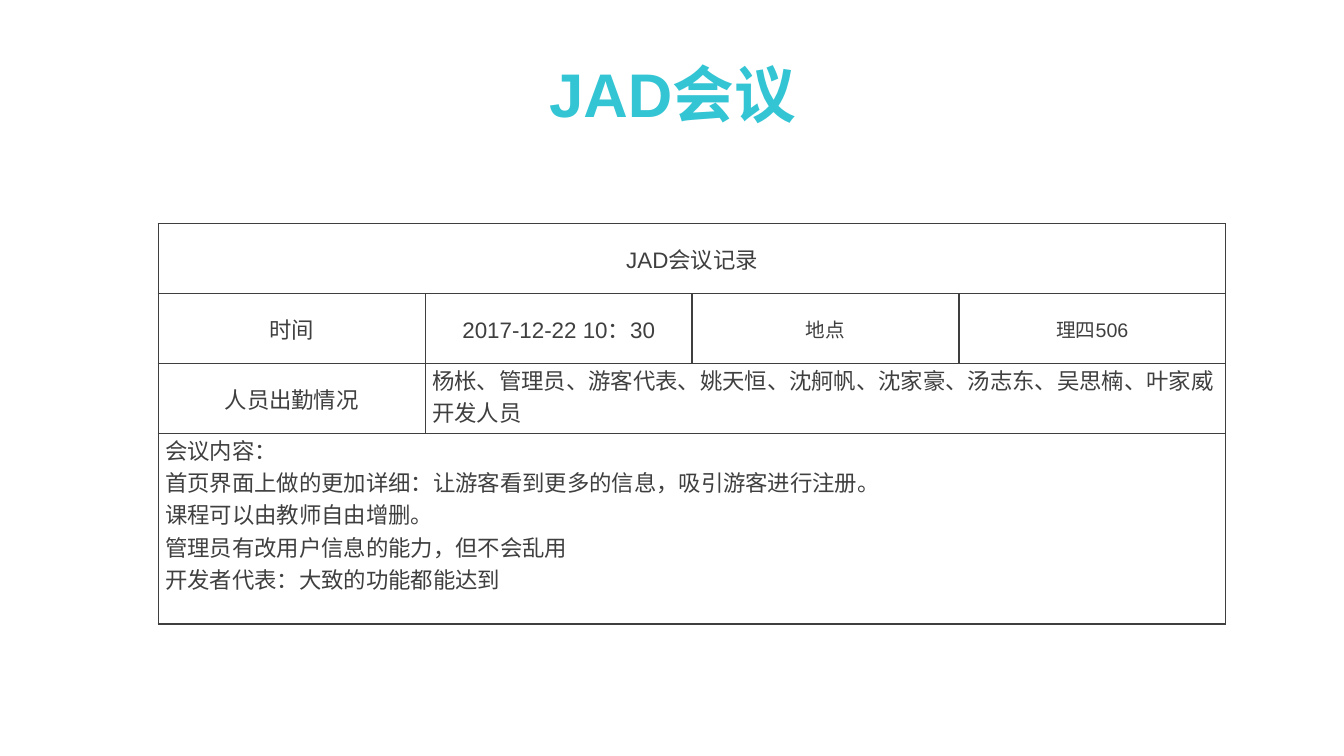
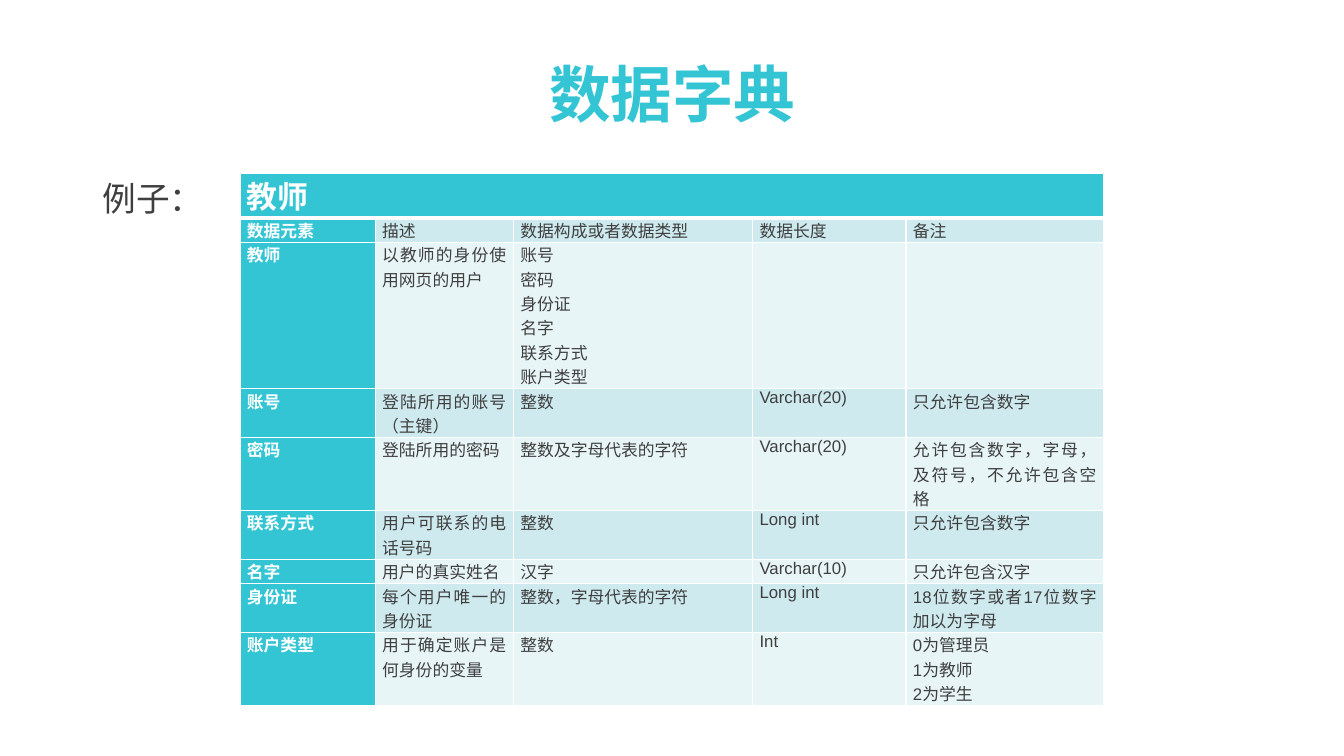
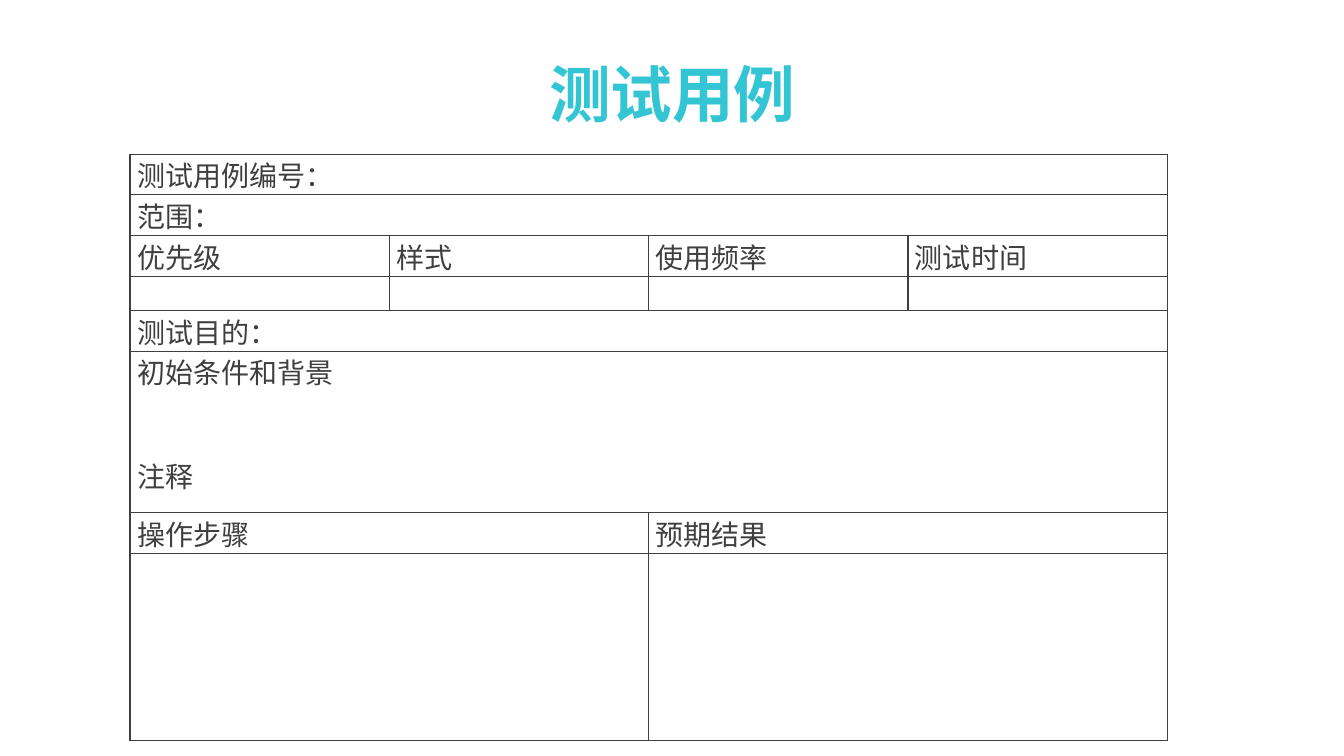
"""Build three slides: a meeting record, a data dictionary and a test case form."""
from dataclasses import dataclass
from typing import Optional

from lxml.etree import SubElement
from pptx import Presentation
from pptx.dml.color import RGBColor
from pptx.enum.lang import MSO_LANGUAGE_ID
from pptx.enum.text import MSO_ANCHOR, PP_ALIGN
from pptx.oxml import parse_xml
from pptx.oxml.ns import nsdecls, qn
from pptx.util import Inches, Pt

WIDE, HIGH = Inches(13.33), Inches(7.5)
MID, EVEN, LEFT = PP_ALIGN.CENTER, PP_ALIGN.JUSTIFY, PP_ALIGN.LEFT


@dataclass(frozen=True)
class Theme:
    """Colours, faces and type sizes of the deck."""
    teal: str = "34C5D4"
    ink: str = "3F3F3F"
    white: str = "FFFFFF"
    bands: tuple[str, str] = ("CEEAEF", "E8F5F7")
    face: str = "Arial"
    serif: str = "Times New Roman"
    title: int = 44
    label: int = 24
    head: int = 22
    form: int = 20
    body: int = 16
    note: int = 14
    small: int = 12


LOOK = Theme()


@dataclass(frozen=True)
class Box:
    """A place on the slide, in percent of its width and height."""
    x: float
    y: float
    w: float
    h: float

    def place(self) -> tuple[int, int, int, int]:
        """Return left, top, width and height as lengths."""
        return (int(WIDE * self.x / 100), int(HIGH * self.y / 100),
                int(WIDE * self.w / 100), int(HIGH * self.h / 100))


@dataclass(frozen=True)
class Cell:
    """Text of a table cell with its span and format."""
    text: str = ""
    span: int = 1
    size: int = LOOK.body
    color: str = LOOK.ink
    fill: Optional[str] = None
    bold: bool = False
    align: PP_ALIGN = EVEN
    mid: bool = False
    gap: float = 0
    last: str = LOOK.face


@dataclass(frozen=True)
class Grid:
    """A table: corner and width, column weights, row heights and cells."""
    x: float
    y: float
    w: float
    cols: tuple[float, ...]
    rows: tuple[float, ...]
    cells: list[list[Cell]]
    line: str = LOOK.ink
    rule: float = 1


TITLE = Box(6.9, 5.33, 86.27, 15.07)
LABEL = Box(6.9, 22.93, 9.15, 6.67)


def write(frame, text: str, *, size: int, color: str = LOOK.ink, face: str = LOOK.face,
          last: str = LOOK.face, bold: bool = False, align: PP_ALIGN = LEFT,
          gap: float = 0, lead: Optional[float] = None) -> None:
    """Write each line of text as one formatted paragraph."""
    lines = text.split("\n")
    for at, line in enumerate(lines):
        para = frame.add_paragraph() if at else frame.paragraphs[0]
        para.alignment = align
        para.space_before = Pt(gap if at else 0)
        if lead:
            para.line_spacing = lead
        run = para.add_run()
        run.text = line
        font = run.font
        font.name = last if at and at == len(lines) - 1 else face
        font.size, font.bold = Pt(size), bold
        font.color.rgb = RGBColor.from_string(color)
        font.language_id = MSO_LANGUAGE_ID.SIMPLIFIED_CHINESE


def edge(cell, color: str, top: float, base: float) -> None:
    """Draw the four borders of a cell."""
    props = cell._tc.get_or_add_tcPr()
    for at, (side, wide) in enumerate(zip("LRTB", (1, 1, top, base))):
        line = parse_xml(f'<a:ln{side} {nsdecls("a")} w="{Pt(wide)}"/>')
        fill = SubElement(line, qn("a:solidFill"))
        SubElement(fill, qn("a:srgbClr"), val=color)
        props.insert(at, line)


def paint(cell, item: Cell) -> None:
    """Fill a cell and write its text."""
    cell.margin_left = cell.margin_right = Inches(0.07)
    cell.margin_top = cell.margin_bottom = 0
    cell.vertical_anchor = MSO_ANCHOR.MIDDLE if item.mid else MSO_ANCHOR.TOP
    if item.fill:
        cell.fill.solid()
        cell.fill.fore_color.rgb = RGBColor.from_string(item.fill)
    else:
        cell.fill.background()
    if item.text:
        write(cell.text_frame, item.text, size=item.size, color=item.color,
              bold=item.bold, align=item.align, gap=item.gap, last=item.last)


def draw(slide, grid: Grid) -> None:
    """Add a grid to the slide as a table."""
    box = Box(grid.x, grid.y, grid.w, sum(grid.rows)).place()
    table = slide.shapes.add_table(len(grid.rows), len(grid.cols), *box).table
    table.first_row = table.horz_banding = False
    for col, part in zip(table.columns, grid.cols):
        col.width = int(box[2] * part / sum(grid.cols))
    for row, part in zip(table.rows, grid.rows):
        row.height = int(HIGH * part / 100)
    for y, items in enumerate(grid.cells):
        x = 0
        for item in items:
            end = x + item.span
            if item.span > 1:
                table.cell(y, x).merge(table.cell(y, end - 1))
            paint(table.cell(y, x), item)
            for col in range(x, end):
                edge(table.cell(y, col), grid.line, grid.rule if y == 1 else 1,
                     grid.rule if y == 0 else 1)
            x = end


def start(deck, text: str):
    """Add a slide with its title."""
    slide = deck.slides.add_slide(deck.slide_layouts[5])
    head = slide.shapes.title
    head.left, head.top, head.width, head.height = TITLE.place()
    head.text_frame.vertical_anchor = MSO_ANCHOR.MIDDLE
    write(head.text_frame, text, size=LOOK.title, color=LOOK.teal, bold=True,
          align=MID, lead=0.9)
    return slide


def mid(text: str, size: int = LOOK.body, span: int = 1) -> Cell:
    """Return a centred cell."""
    return Cell(text, span, size, align=MID, mid=True)


def meet() -> Grid:
    """Return the meeting record."""
    crew = "杨枨、管理员、游客代表、姚天恒、沈舸帆、沈家豪、汤志东、吴思楠、叶家威\n开发人员"
    notes = "\n".join((
        "会议内容：",
        "首页界面上做的更加详细：让游客看到更多的信息，吸引游客进行注册。",
        "课程可以由教师自由增删。",
        "管理员有改用户信息的能力，但不会乱用",
        "开发者代表：大致的功能都能达到",
    ))
    return Grid(11.78, 29.6, 79.43, (1,) * 4, (9.25, 9.25, 9.25, 25.2), [
        [mid("JAD会议记录", span=4)],
        [mid("时间"), mid("2017-12-22 10：30"),
         mid("地点", LOOK.note), mid("理四506", LOOK.note)],
        [mid("人员出勤情况"), Cell(crew, 3, align=LEFT, last=LOOK.serif)],
        [Cell(notes, 4, last=LOOK.serif)],
    ])


def terms() -> Grid:
    """Return the data dictionary."""
    data = (
        (1, "数据元素", "描述", "数据构成或者数据类型", "数据长度", "备注"),
        (6, "教师", "以教师的身份使用网页的用户",
         "账号\n密码\n身份证\n名字\n联系方式\n账户类型", "", ""),
        (2, "账号", "登陆所用的账号（主键）", "整数", "Varchar(20)", "只允许包含数字"),
        (3, "密码", "登陆所用的密码", "整数及字母代表的字符", "Varchar(20)",
         "允许包含数字，字母，及符号，不允许包含空格"),
        (2, "联系方式", "用户可联系的电话号码", "整数", "Long int", "只允许包含数字"),
        (1, "名字", "用户的真实姓名", "汉字", "Varchar(10)", "只允许包含汉字"),
        (2, "身份证", "每个用户唯一的身份证", "整数，字母代表的字符", "Long int",
         "18位数字或者17位数字加以为字母"),
        (3, "账户类型", "用于确定账户是何身份的变量", "整数", "Int",
         "0为管理员\n1为教师\n2为学生"),
    )
    mark = {"color": LOOK.white, "fill": LOOK.teal, "bold": True}
    cells = [[Cell("教师", 5, LOOK.head, **mark)]]
    for at, (_, name, *rest) in enumerate(data):
        band = LOOK.bands[at % 2]
        cells.append([Cell(name, size=LOOK.small, **mark)]
                     + [Cell(text, size=LOOK.small, fill=band) for text in rest])
    rows = (5.9, *(3.22 * row[0] for row in data))
    return Grid(17.85, 22.93, 64.28, (1.34, 1.37, 2.37, 1.52, 1.96), rows, cells,
                LOOK.white, 3)


def case() -> Grid:
    """Return the test case form."""
    def field(text: str, span: int = 4, gap: float = 0) -> Cell:
        """Return a form field."""
        return Cell(text, span, LOOK.form, gap=gap)

    line = 5.38
    return Grid(9.68, 20.4, 77.18, (1,) * 4,
                (line, line, line, 4.55, line, 21.33, line, 24.8), [
        [field("测试用例编号：")],
        [field("范围：")],
        [field(text, 1) for text in ("优先级", "样式", "使用频率", "测试时间")],
        [Cell()] * 4,
        [field("测试目的：")],
        [field("初始条件和背景\n注释", gap=45)],
        [field("操作步骤", 2), field("预期结果", 2)],
        [Cell(span=2)] * 2,
    ])


def main() -> None:
    """Build and save the deck."""
    deck = Presentation()
    deck.slide_width, deck.slide_height = WIDE, HIGH
    draw(start(deck, "JAD会议"), meet())
    slide = start(deck, "数据字典")
    draw(slide, terms())
    label = slide.shapes.add_textbox(*LABEL.place()).text_frame
    label.word_wrap = False
    write(label, "例子：", size=LOOK.label)
    draw(start(deck, "测试用例"), case())
    deck.save("out.pptx")


if __name__ == "__main__":
    main()
